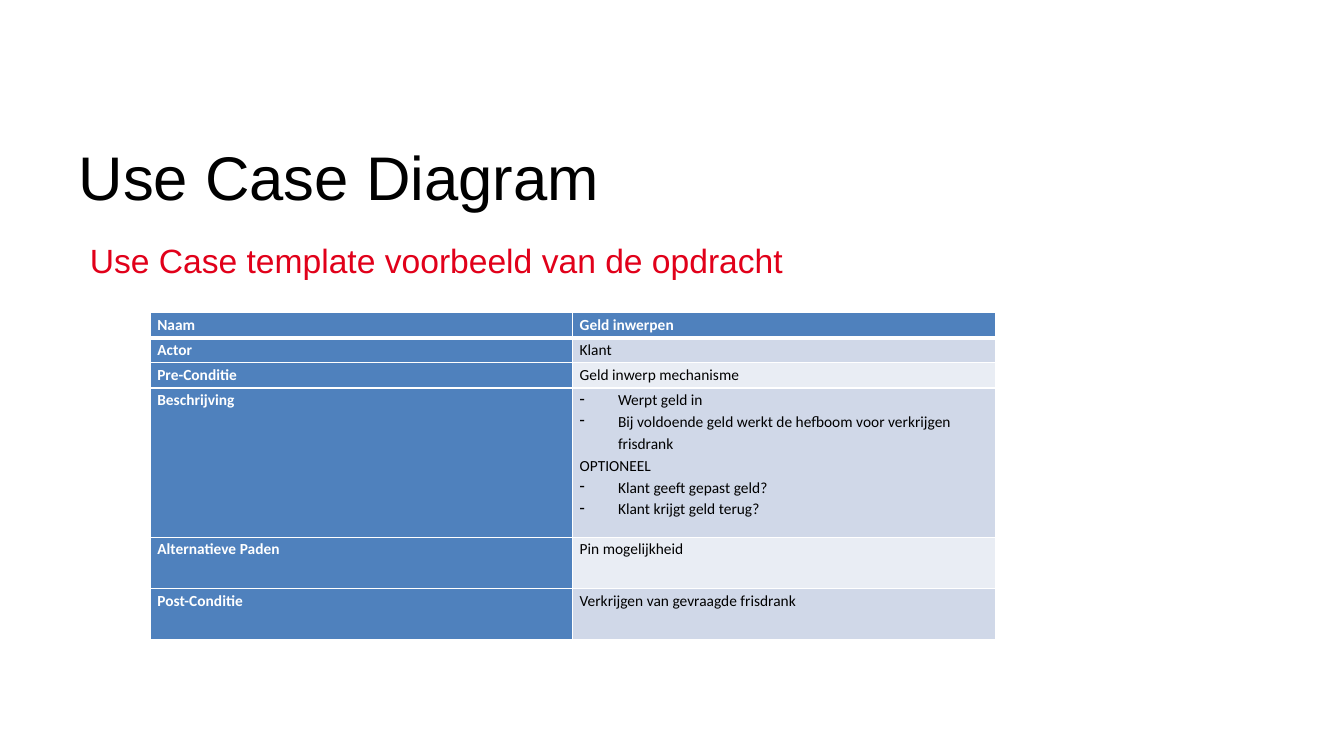
from dataclasses import dataclass

from lxml import etree
from pptx import Presentation
from pptx.dml.color import RGBColor
from pptx.enum.text import MSO_ANCHOR, MSO_AUTO_SIZE, PP_ALIGN
from pptx.oxml.ns import qn
from pptx.util import Inches, Pt

LEFT = PP_ALIGN.LEFT
MIDDLE, TOP = MSO_ANCHOR.MIDDLE, MSO_ANCHOR.TOP
NO_FIT = MSO_AUTO_SIZE.NONE


@dataclass(frozen=True)
class Theme:
    black: str = "000000"
    white: str = "FFFFFF"
    red: str = "E1001A"
    blue: str = "4F81BD"
    bands: tuple = ("D0D8E8", "E9EDF4")
    head: str = "Arial"
    body: str = "Calibri"
    title: int = 44
    lead: int = 24
    cell: int = 11
    line: int = 1
    rule: int = 3


def apply(item, values):
    for name, value in values.items():
        setattr(item, name, value)


class Deck:
    def __init__(self, theme):
        self.theme = theme
        self.prs = Presentation()
        apply(self.prs, {"slide_width": Inches(13.33), "slide_height": Inches(7.5)})
        self.slide = self.prs.slides.add_slide(self.prs.slide_layouts[1])

    def label(self, para, text, font, size, color, bold=False):
        run = para.add_run()
        run.text = text
        apply(run.font, {"name": font, "size": Pt(size), "bold": bold})
        run.font.color.rgb = RGBColor.from_string(color)

    def bullet(self, para, mark=None, indent=0):
        props = para._p.get_or_add_pPr()
        props.set("marL", str(Inches(indent)))
        props.set("indent", str(-Inches(indent)))
        if mark:
            etree.SubElement(props, qn("a:buChar"), char=mark)
        else:
            etree.SubElement(props, qn("a:buNone"))

    def holder(self, index, box, text, size, color, anchor, before=0):
        shape = self.slide.placeholders[index]
        apply(shape, dict(zip(("left", "top", "width", "height"), map(Inches, box))))
        frame = shape.text_frame
        apply(frame, {"word_wrap": True, "auto_size": NO_FIT, "vertical_anchor": anchor})
        para = frame.paragraphs[0]
        apply(para, {"alignment": LEFT, "space_before": Pt(before)})
        self.bullet(para)
        self.label(para, text, self.theme.head, size, color)

    def border(self, cell, row):
        widths = {side: self.theme.line for side in "LRTB"}
        if row < 2:
            widths["B" if row == 0 else "T"] = self.theme.rule
        props = cell._tc.get_or_add_tcPr()
        for side, width in widths.items():
            line = etree.SubElement(props, qn(f"a:ln{side}"), w=str(Pt(width)))
            fill = etree.SubElement(line, qn("a:solidFill"))
            etree.SubElement(fill, qn("a:srgbClr"), val=self.theme.white)

    def fill(self, cell, row, col, text):
        theme = self.theme
        header = row == 0 or col == 0
        side = Inches(0.07)
        apply(cell, {"margin_left": side, "margin_right": side,
                     "margin_top": 0, "margin_bottom": 0})
        self.border(cell, row)
        cell.fill.solid()
        tone = theme.blue if header else theme.bands[(row - 1) % 2]
        cell.fill.fore_color.rgb = RGBColor.from_string(tone)
        frame = cell.text_frame
        for i, line in enumerate(text.split("\n")):
            para = frame.add_paragraph() if i else frame.paragraphs[0]
            para.line_spacing = 1.15
            if line.startswith("- "):
                self.bullet(para, "-", 0.38)
            self.label(para, line.removeprefix("- "), theme.body, theme.cell,
                       theme.white if header else theme.black, header)

    def table(self, box, rows, heights):
        grid = self.slide.shapes.add_table(len(rows), len(rows[0]), *map(Inches, box)).table
        grid.first_col = True
        for r, (texts, height) in enumerate(zip(rows, heights)):
            grid.rows[r].height = Inches(height)
            for c, text in enumerate(texts):
                self.fill(grid.cell(r, c), r, c, text)


STEPS = """- Werpt geld in
- Bij voldoende geld werkt de hefboom voor verkrijgen frisdrank
OPTIONEEL
- Klant geeft gepast geld?
- Klant krijgt geld terug?"""

ROWS = [
    ("Naam", "Geld inwerpen"),
    ("Actor", "Klant"),
    ("Pre-Conditie", "Geld inwerp mechanisme"),
    ("Beschrijving", STEPS),
    ("Alternatieve Paden", "Pin mogelijkheid"),
    ("Post-Conditie", "Verkrijgen van gevraagde frisdrank"),
]


def main():
    theme = Theme()
    deck = Deck(theme)
    # Title and lead line
    deck.holder(0, (0.68, 1.39, 11.97, 0.71), "Use Case Diagram",
                theme.title, theme.black, MIDDLE)
    deck.holder(1, (0.79, 2.33, 11.86, 0.39), "Use Case template voorbeeld van de opdracht",
                theme.lead, theme.red, TOP, before=4.8)
    # Use case table
    deck.table((1.49, 3.1, 8.38, 3.23), ROWS, (0.25, 0.25, 0.25, 1.48, 0.51, 0.51))
    deck.prs.save("out.pptx")


if __name__ == "__main__":
    main()
